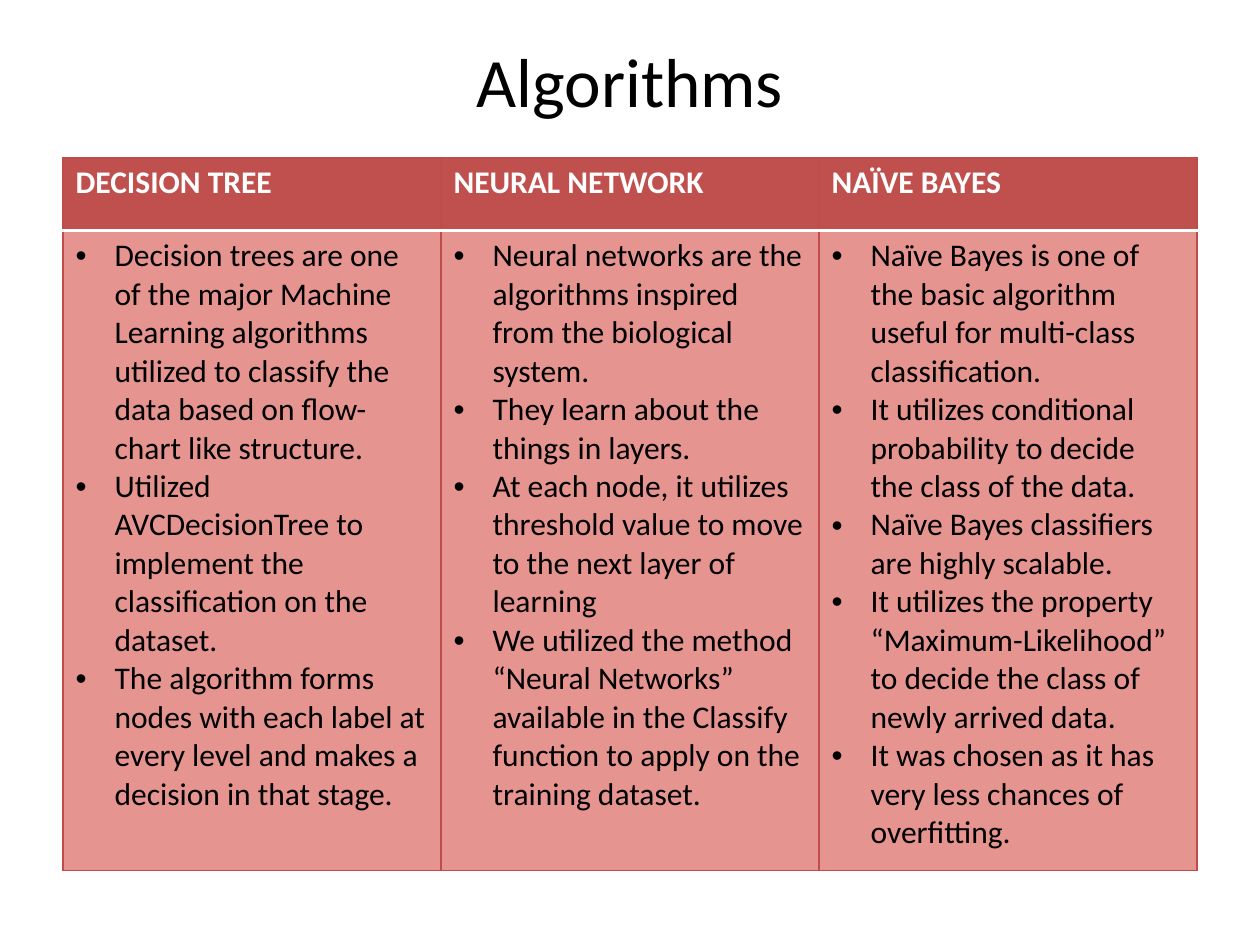
from dataclasses import dataclass

from lxml import etree
from pptx import Presentation
from pptx.dml.color import RGBColor
from pptx.enum.text import MSO_ANCHOR, PP_ALIGN
from pptx.oxml.ns import qn
from pptx.util import Inches, Pt

CENTER = PP_ALIGN.CENTER
TOP = MSO_ANCHOR.TOP

FONT = "Calibri"
BLACK, WHITE = "000000", "FFFFFF"
HEADER_FILL, BODY_FILL, BORDER = "C0504D", "E59490", "BF4C48"
INDENT = Inches(0.31)


@dataclass
class Algorithm:
    name: str
    points: list[str]


@dataclass
class Line:
    color: str
    width: float


GRID = Line(BORDER, 0.75)
RULE = Line(WHITE, 2)

ALGORITHMS = [
    Algorithm("DECISION TREE", [
        "Decision trees are one of the major Machine Learning algorithms "
        "utilized to classify the data based on flow-chart like structure.",
        "Utilized AVCDecisionTree to implement the classification on the dataset.",
        "The algorithm forms nodes with each label at every level and makes "
        "a decision in that stage.",
    ]),
    Algorithm("NEURAL NETWORK", [
        "Neural networks are the algorithms inspired from the biological system.",
        "They learn about the things in layers.",
        "At each node, it utilizes threshold value to move to the next layer of learning",
        "We utilized the method “Neural Networks” available in the Classify "
        "function to apply on the training dataset.",
    ]),
    Algorithm("NAÏVE BAYES", [
        "Naïve Bayes is one of the basic algorithm useful for multi-class classification.",
        "It utilizes conditional probability to decide the class of the data.",
        "Naïve Bayes classifiers are highly scalable.",
        "It utilizes the property “Maximum-Likelihood” to decide the class of "
        "newly arrived data.",
        "It was chosen as it has very less chances of overfitting.",
    ]),
]


def rgb(color: str) -> RGBColor:
    return RGBColor.from_string(color)


def add_run(p, text: str, size: float, color: str, bold: bool = False) -> None:
    r = p.add_run()
    r.text = text
    r.font.name = FONT
    r.font.size = Pt(size)
    r.font.bold = bold
    r.font.color.rgb = rgb(color)


def add_bullet(p) -> None:
    pPr = p._p.get_or_add_pPr()
    pPr.set("marL", str(INDENT))
    pPr.set("indent", str(-INDENT))
    etree.SubElement(pPr, qn("a:buFont"), typeface="Arial")
    etree.SubElement(pPr, qn("a:buChar"), char="•")


def style_cell(cell, fill: str, top: Line, bottom: Line) -> None:
    # Borders come before the fill in the cell properties
    tcPr = cell._tc.get_or_add_tcPr()
    for side, line in (("L", GRID), ("R", GRID), ("T", top), ("B", bottom)):
        ln = etree.SubElement(tcPr, qn(f"a:ln{side}"), w=str(Pt(line.width)))
        solid = etree.SubElement(ln, qn("a:solidFill"))
        etree.SubElement(solid, qn("a:srgbClr"), val=line.color)
    cell.fill.solid()
    cell.fill.fore_color.rgb = rgb(fill)


def add_title(s, text: str) -> None:
    sp = s.shapes.add_textbox(Inches(0.5), Inches(0.3), Inches(9), Inches(1.25))
    tf = sp.text_frame
    tf.word_wrap = True
    tf.vertical_anchor = TOP
    tf.margin_top = 0
    p = tf.paragraphs[0]
    p.alignment = CENTER
    add_run(p, text, 39.6, BLACK)


def add_algorithm_table(s, algorithms: list[Algorithm]) -> None:
    table = s.shapes.add_table(2, len(algorithms), Inches(0.5), Inches(1.25),
                               Inches(9), Inches(5.66)).table
    table.rows[0].height = Inches(0.58)
    table.rows[1].height = Inches(5.08)
    for col, algorithm in enumerate(algorithms):
        # Header
        header = table.cell(0, col)
        style_cell(header, HEADER_FILL, GRID, RULE)
        add_run(header.text_frame.paragraphs[0], algorithm.name, 18, WHITE, True)

        # Bulleted points
        body = table.cell(1, col)
        style_cell(body, BODY_FILL, RULE, GRID)
        tf = body.text_frame
        for i, point in enumerate(algorithm.points):
            p = tf.add_paragraph() if i else tf.paragraphs[0]
            add_bullet(p)
            add_run(p, point, 18, BLACK)


def main() -> None:
    prs = Presentation()
    prs.slide_width, prs.slide_height = Inches(10), Inches(7.5)
    s = prs.slides.add_slide(prs.slide_layouts[6])
    add_title(s, "Algorithms")
    add_algorithm_table(s, ALGORITHMS)
    prs.save("out.pptx")


if __name__ == "__main__":
    main()
